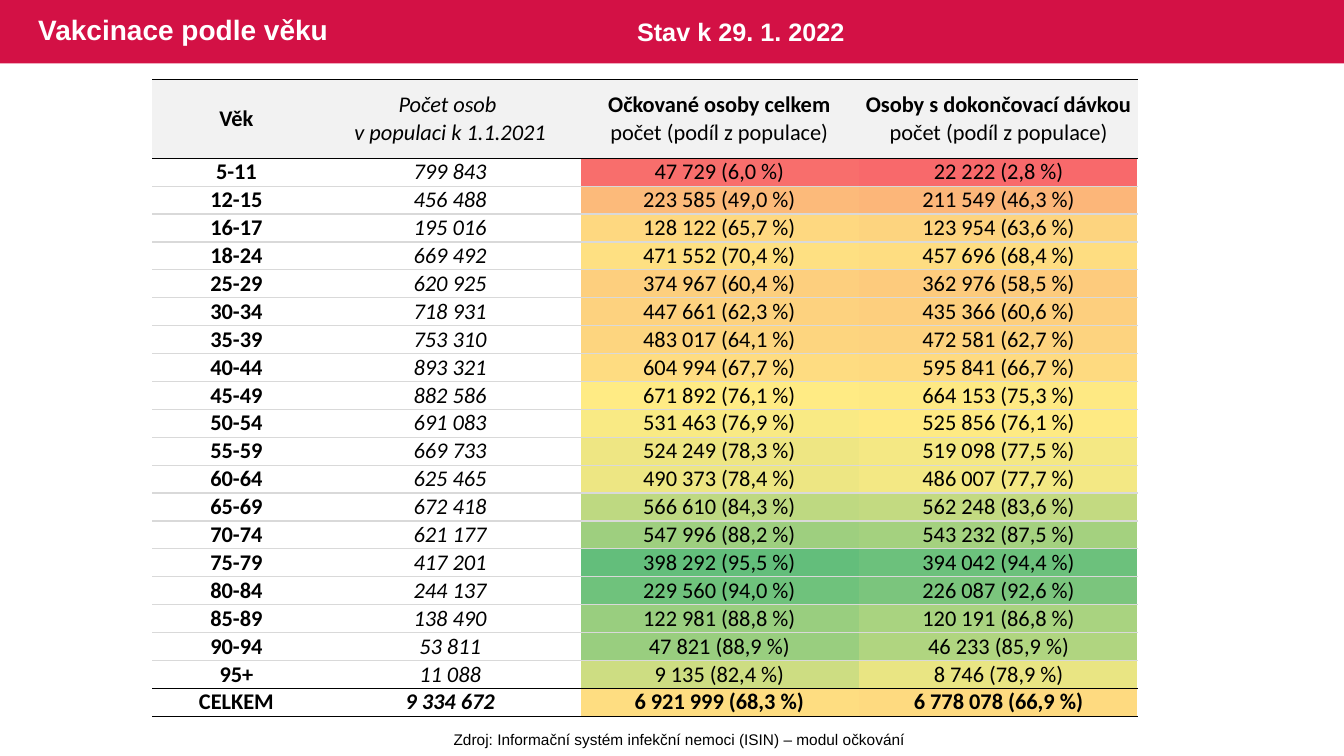
"""Build a slide with COVID vaccination coverage by age group over a heat map."""
from dataclasses import dataclass

from lxml import etree
from pptx import Presentation
from pptx.dml.color import RGBColor
from pptx.enum.shapes import MSO_SHAPE
from pptx.enum.text import MSO_ANCHOR, PP_ALIGN
from pptx.oxml.ns import qn
from pptx.util import Inches, Pt

RECTANGLE = MSO_SHAPE.RECTANGLE
MIDDLE, TOP = MSO_ANCHOR.MIDDLE, MSO_ANCHOR.TOP
CENTER, LEFT = PP_ALIGN.CENTER, PP_ALIGN.LEFT


@dataclass(frozen=True)
class Theme:
    banner: str = "D31145"
    white: str = "FFFFFF"
    black: str = "000000"
    header: str = "F2F2F2"
    grid: str = "D9D9D9"
    heading_font: str = "Arial"
    table_font: str = "Calibri"
    title_size: int = 20
    date_size: int = 18
    table_size: int = 16
    source_size: int = 11


THEME = Theme()

HEADERS = [
    ["Věk"],
    ["Počet osob ", "v populaci k 1.1.2021"],
    ["Očkované osoby celkem", "počet (podíl z populace)"],
    ["Osoby s dokončovací dávkou", "počet (podíl z populace)"],
]
AGE_GROUPS = [
    ("5-11", "799 843", "47 729 (6,0 %)", "22 222 (2,8 %)", "F86E6C", "F8696B"),
    ("12-15", "456 488", "223 585 (49,0 %)", "211 549 (46,3 %)", "FCBA7A", "FCB679"),
    ("16-17", "195 016", "128 122 (65,7 %)", "123 954 (63,6 %)", "FED880", "FDD47F"),
    ("18-24", "669 492", "471 552 (70,4 %)", "457 696 (68,4 %)", "FEE082", "FEDD81"),
    ("25-29", "620 925", "374 967 (60,4 %)", "362 976 (58,5 %)", "FDCF7E", "FDCB7D"),
    ("30-34", "718 931", "447 661 (62,3 %)", "435 366 (60,6 %)", "FDD27F", "FDCF7E"),
    ("35-39", "753 310", "483 017 (64,1 %)", "472 581 (62,7 %)", "FDD57F", "FDD37F"),
    ("40-44", "893 321", "604 994 (67,7 %)", "595 841 (66,7 %)", "FEDC81", "FEDA80"),
    ("45-49", "882 586", "671 892 (76,1 %)", "664 153 (75,3 %)", "FFEB84", "FEE983"),
    ("50-54", "691 083", "531 463 (76,9 %)", "525 856 (76,1 %)", "F9EA84", "FEEA83"),
    ("55-59", "669 733", "524 249 (78,3 %)", "519 098 (77,5 %)", "EEE683", "F4E884"),
    ("60-64", "625 465", "490 373 (78,4 %)", "486 007 (77,7 %)", "EDE683", "F3E884"),
    ("65-69", "672 418", "566 610 (84,3 %)", "562 248 (83,6 %)", "BED981", "C3DA81"),
    ("70-74", "621 177", "547 996 (88,2 %)", "543 232 (87,5 %)", "9ECF7F", "A4D17F"),
    ("75-79", "417 201", "398 292 (95,5 %)", "394 042 (94,4 %)", "63BE7B", "6CC17C"),
    ("80-84", "244 137", "229 560 (94,0 %)", "226 087 (92,6 %)", "6FC27C", "7BC57D"),
    ("85-89", "138 490", "122 981 (88,8 %)", "120 191 (86,8 %)", "99CE7F", "A9D380"),
    ("90-94", "53 811", "47 821 (88,9 %)", "46 233 (85,9 %)", "99CE7F", "B0D580"),
    ("95+", "11 088", "9 135 (82,4 %)", "8 746 (78,9 %)", "CDDD82", "E9E583"),
    ("CELKEM", "9 334 672", "6 921 999 (68,3 %)", "6 778 078 (66,9 %)", "FEDD81", "FEDA80"),
]


def write_line(paragraph, text, *, font, size, color=THEME.black, bold=False,
               italic=False, align=LEFT, spacing=None):
    paragraph.alignment = align
    paragraph.line_spacing = spacing
    span = paragraph.add_run()
    span.text = text
    span.font.name = font
    span.font.size = Pt(size)
    span.font.bold = bold
    span.font.italic = italic
    span.font.color.rgb = RGBColor.from_string(color)


def format_cell(cell, *, fill=None, top=None, bottom=None):
    cell.vertical_anchor = MIDDLE
    cell.margin_left = cell.margin_right = Inches(0.01)
    cell.margin_top = cell.margin_bottom = 0
    properties = cell._tc.get_or_add_tcPr()
    for side, color in (("L", None), ("R", None), ("T", top), ("B", bottom)):
        line = etree.SubElement(properties, qn(f"a:ln{side}"), w=str(Pt(1)))
        if color is None:
            etree.SubElement(line, qn("a:noFill"))
        else:
            paint = etree.SubElement(line, qn("a:solidFill"))
            etree.SubElement(paint, qn("a:srgbClr"), val=color)
    if fill is None:
        cell.fill.background()
    else:
        cell.fill.solid()
        cell.fill.fore_color.rgb = RGBColor.from_string(fill)


deck = Presentation()
deck.slide_width, deck.slide_height = Inches(13.33), Inches(7.5)
page = deck.slides.add_slide(deck.slide_layouts[6])

banner = page.shapes.add_shape(RECTANGLE, 0, 0, deck.slide_width, Inches(0.63))
banner.shadow.inherit = False
banner.fill.solid()
banner.fill.fore_color.rgb = RGBColor.from_string(THEME.banner)
banner.line.fill.background()

group_count = len(AGE_GROUPS)
row_height = 5.54 / group_count
table_layouts = [
    ((5.76, 1.57, 5.52, 5.54), [2.76, 2.76], [row_height] * group_count),
    ((1.51, 0.79, 9.77, 6.32), [1.67, 2.57, 2.77, 2.77], [0.78] + [row_height] * group_count),
]
tables = []
for place, widths, heights in table_layouts:
    frame = page.shapes.add_table(len(heights), len(widths),
                                  *(Inches(length) for length in place))
    table = frame.table
    table.first_row = False
    table.horz_banding = False
    for column, width in zip(table.columns, widths):
        column.width = Inches(width)
    for row, height in zip(table.rows, heights):
        row.height = Inches(height)
    tables.append(table)
heat_map, figures = tables

for row_index, group in enumerate(AGE_GROUPS):
    for column_index, color in enumerate(group[4:]):
        cell = heat_map.cell(row_index, column_index)
        format_cell(cell, fill=color)
        paragraph = cell.text_frame.paragraphs[0]
        etree.SubElement(paragraph._p, qn("a:endParaRPr"), sz=str(THEME.source_size * 100))

border_colors = [THEME.black] * 2 + [THEME.grid] * (group_count - 2) + [THEME.black] * 2
rows = [HEADERS] + [[[text] for text in group[:4]] for group in AGE_GROUPS]
for row_index, contents in enumerate(rows):
    is_header, is_total = row_index == 0, row_index == group_count
    for column_index, lines in enumerate(contents):
        cell = figures.cell(row_index, column_index)
        format_cell(cell, fill=THEME.header if is_header else None,
                    top=border_colors[row_index], bottom=border_colors[row_index + 1])
        for line_index, text in enumerate(lines):
            text_frame = cell.text_frame
            paragraph = text_frame.add_paragraph() if line_index else text_frame.paragraphs[0]
            leads_header = is_header and line_index == 0 and column_index != 1
            write_line(paragraph, text, font=THEME.table_font, size=THEME.table_size,
                       bold=is_total or column_index == 0 or leads_header,
                       italic=column_index == 1, align=CENTER)

captions = [
    ("Vakcinace podle věku", (0.28, 0, 8.13, 0.63), True, MIDDLE,
     dict(size=THEME.title_size, color=THEME.white, bold=True, spacing=0.9)),
    ("Zdroj: Informační systém infekční nemoci (ISIN) – modul očkování",
     (4.39, 7.19, 4.7, 0.29), False, TOP,
     dict(size=THEME.source_size, align=CENTER)),
    ("Stav k 29. 1. 2022", (6.22, 0.11, 2.59, 0.4), True, TOP,
     dict(size=THEME.date_size, color=THEME.white, bold=True)),
]
for text, place, wrap, anchor, style in captions:
    box = page.shapes.add_textbox(*(Inches(length) for length in place))
    box.text_frame.word_wrap = wrap
    box.text_frame.vertical_anchor = anchor
    write_line(box.text_frame.paragraphs[0], text, font=THEME.heading_font, **style)

deck.save("out.pptx")
